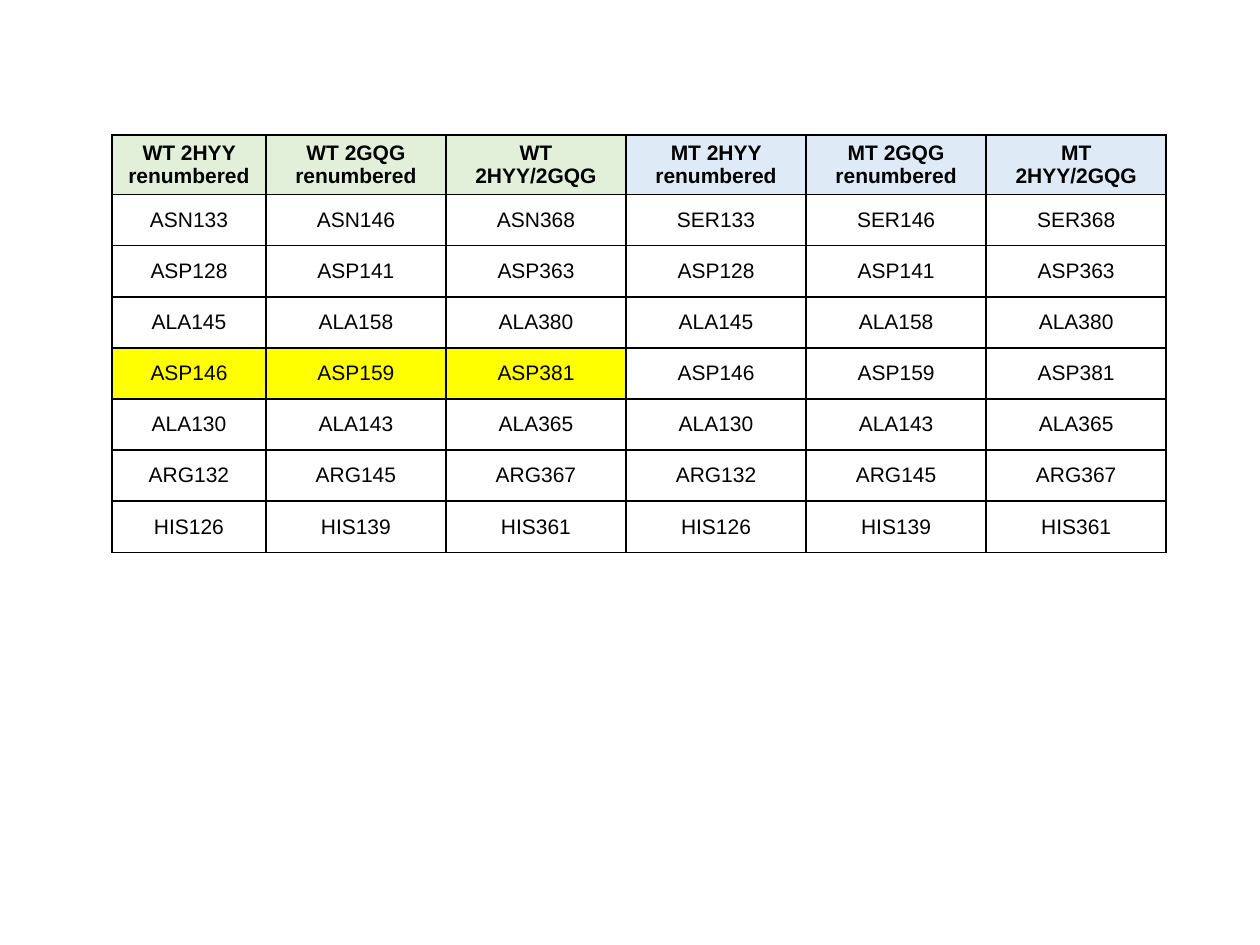
"""Build a slide with a table of matching wild-type and mutant residue numbers."""
from lxml import etree
from pptx import Presentation
from pptx import util as u
from pptx.dml.color import RGBColor
from pptx.enum import text
from pptx.oxml.ns import qn

COLORS = {
    "ink": "000000",
    "wild_type": "E2F0D9",
    "mutant": "DEEBF7",
    "highlight": "FFFF00",
}
NUMBERINGS = {"2HYY renumbered": 0, "2GQG renumbered": 13, "2HYY/2GQG": 235}
RESIDUES = [
    ("ASN", "SER", 133),
    ("ASP", "ASP", 128),
    ("ALA", "ALA", 145),
    ("ASP", "ASP", 146),
    ("ALA", "ALA", 130),
    ("ARG", "ARG", 132),
    ("HIS", "HIS", 126),
]
HIGHLIGHTED = 146
FIRST_WIDTH, OTHER_WIDTH, ROW_HEIGHT = u.Cm(3.1), u.Cm(3.63), u.Cm(1.03)


def add_borders(cell):
    """Draw a thin line on all four sides of a cell."""
    properties = cell._tc.get_or_add_tcPr()
    for side in ("lnL", "lnR", "lnT", "lnB"):
        line = etree.SubElement(properties, qn(f"a:{side}"), w=str(u.Pt(1)))
        fill = etree.SubElement(line, qn("a:solidFill"))
        etree.SubElement(fill, qn("a:srgbClr"), val=COLORS["ink"])


def write_cell(cell, words, fill=None, bold=False):
    """Fill a cell with centred text, borders and an optional colour."""
    add_borders(cell)
    if fill:
        cell.fill.solid()
        cell.fill.fore_color.rgb = RGBColor.from_string(COLORS[fill])
    else:
        cell.fill.background()
    cell.vertical_anchor = text.MSO_ANCHOR.MIDDLE
    cell.text = words
    paragraph = cell.text_frame.paragraphs[0]
    paragraph.alignment = text.PP_ALIGN.CENTER
    font = paragraph.font
    font.name, font.size, font.bold = "Arial", u.Pt(12), bold
    font.color.rgb = RGBColor.from_string(COLORS["ink"])


def add_residue_table(slide):
    """Add the bordered table grid and return it."""
    column_count = 2 * len(NUMBERINGS)
    row_count = len(RESIDUES) + 1
    table = slide.shapes.add_table(
        row_count, column_count, u.Cm(2.26), u.Cm(2.72),
        FIRST_WIDTH + OTHER_WIDTH * (column_count - 1), ROW_HEIGHT * row_count,
    ).table
    table.first_row = table.horz_banding = False
    for index, column in enumerate(table.columns):
        column.width = OTHER_WIDTH if index else FIRST_WIDTH
    for row in table.rows:
        row.height = ROW_HEIGHT
    return table


def fill_protein(table, protein, header_fill, first_column):
    """Write the header and residues of one protein under each numbering."""
    is_wild_type = protein == "WT"
    for column, (numbering, offset) in enumerate(NUMBERINGS.items(), first_column):
        write_cell(table.cell(0, column), f"{protein} {numbering}", header_fill, bold=True)
        for row, (wild_type, mutant, number) in enumerate(RESIDUES, 1):
            residue = wild_type if is_wild_type else mutant
            marked = is_wild_type and number == HIGHLIGHTED
            write_cell(table.cell(row, column), f"{residue}{number + offset}",
                       "highlight" if marked else None)


def main():
    """Create and save the presentation."""
    deck = Presentation()
    deck.slide_width, deck.slide_height = u.Cm(25.4), u.Cm(19.05)
    slide = deck.slides.add_slide(deck.slide_layouts[6])
    table = add_residue_table(slide)
    fill_protein(table, "WT", "wild_type", 0)
    fill_protein(table, "MT", "mutant", len(NUMBERINGS))
    deck.save("out.pptx")


if __name__ == "__main__":
    main()
